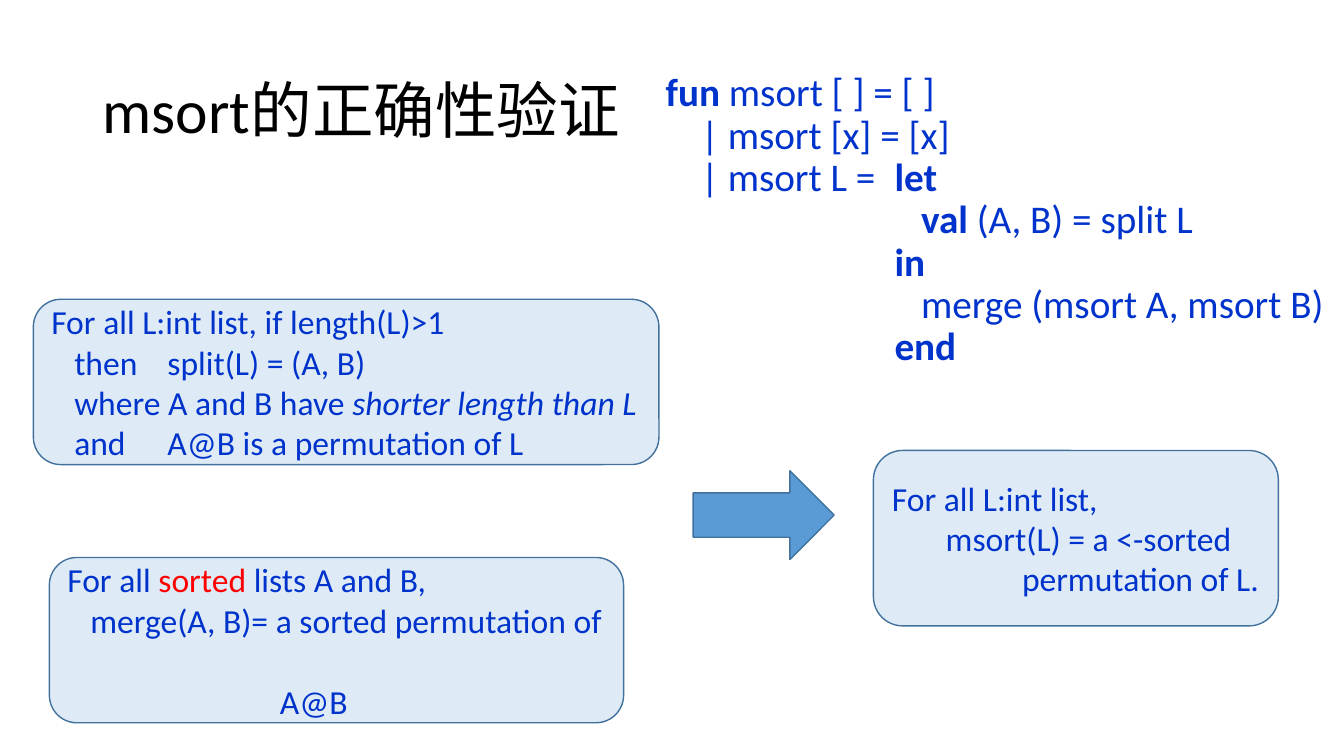
import pptx
import pptx.util
import pptx.dml.color
import pptx.enum.shapes
import pptx.enum.text

Pt = pptx.util.Pt
RGB = pptx.dml.color.RGBColor.from_string
MSO = pptx.enum.shapes.MSO_SHAPE
ANCHOR = pptx.enum.text.MSO_ANCHOR
COLORS = {"black": "000000", "blue": "0033CC", "red": "FF0000",
          "panel": "DEEBF6", "arrow": "5B9BD5", "outline": "41719C"}

prs = pptx.Presentation()
prs.slide_width, prs.slide_height = Pt(960.5), Pt(540)
s = prs.slides.add_slide(prs.slide_layouts[6])


def write(tf, lines, size, color="blue", spacing=1.0, before=0):
    tf.word_wrap = True
    for i, (start, tab, gap, runs) in enumerate(lines):
        p = tf.paragraphs[0] if i == 0 else tf.add_paragraph()
        p.alignment = pptx.enum.text.PP_ALIGN.LEFT
        p.line_spacing = spacing
        p.space_before = Pt(gap + (before if i else 0))
        pPr = p._p.get_or_add_pPr()
        pPr.set("marL", str(Pt(tab or start)))
        pPr.set("indent", str(Pt(start - tab if tab else 0)))
        for text, style in runs:
            r = p.add_run()
            r.text = text
            r.font.name = "Calibri"
            r.font.size = Pt(size)
            r.font.bold = style == "bold"
            r.font.italic = style == "italic"
            r.font.color.rgb = RGB(COLORS["red" if style == "red" else color])


def add_block(kind, box, fill):
    sp = s.shapes.add_shape(kind, *[Pt(v) for v in box])
    sp.shadow.inherit = False
    sp.fill.solid()
    sp.fill.fore_color.rgb = RGB(COLORS[fill])
    sp.line.color.rgb = RGB(COLORS["outline"])
    sp.line.width = Pt(1)
    return sp


title = s.shapes.add_textbox(Pt(66.2), Pt(28.8), Pt(828), Pt(104.4))
title.text_frame.vertical_anchor = ANCHOR.MIDDLE
write(title.text_frame, [(0, 0, 0, [("msort的正确性验证", "")])], 44, "black", 0.9)

panels = [
    ((23.8, 213.8, 447.1, 118.1), [
        (0, 0, 0, [("For all L:int list, if length(L)>1", "")]),
        (16.4, 83, 0, [("then\tsplit(L) = (A, B)", "")]),
        (16.4, 0, 0, [("where A and B have ", ""), ("shorter length than L", "italic")]),
        (16.4, 83, 0, [("and\tA@B is a permutation of L", "")])]),
    ((35.3, 398.2, 410.4, 118.1), [
        (0, 0, 0, [("For all ", ""), ("sorted", "red"), (" lists A and B,", "")]),
        (16.4, 0, 0, [("merge(A, B)= a sorted permutation of", "")]),
        (152, 0, 29, [("A@B", "")])]),
    ((624.2, 321.8, 289.4, 125.3), [
        (0, 0, 0, [("For all L:int list,", "")]),
        (38.5, 0, 0, [("msort(L) = a <-sorted", "")]),
        (93, 0, 0, [("permutation of L.", "")])]),
]
for box, lines in panels:
    sp = add_block(MSO.ROUNDED_RECTANGLE, box, "panel")
    sp.text_frame.vertical_anchor = ANCHOR.MIDDLE
    write(sp.text_frame, lines, 24)

add_block(MSO.RIGHT_ARROW, (495.4, 336.2, 100.8, 63.4), "arrow")

code = s.shapes.add_textbox(Pt(462.2), Pt(35.3), Pt(493.2), Pt(239.8))
code.text_frame.margin_top = Pt(25)
write(code.text_frame, [
    (6.5, 0, 0, [("fun ", "bold"), ("msort [ ] = [ ]", "")]),
    (31.6, 0, 0, [("| msort [x] = [x]", "")]),
    (31.6, 170, 0, [("| msort L =\t", ""), ("let", "bold")]),
    (189, 0, 0, [("val ", "bold"), ("(A, B) = split L", "")]),
    (170, 0, 0, [("in", "bold")]),
    (189, 0, 0, [("merge (msort A, msort B)", "")]),
    (170, 0, 0, [("end", "bold")])], 28, spacing=0.6, before=10)

prs.save("out.pptx")
